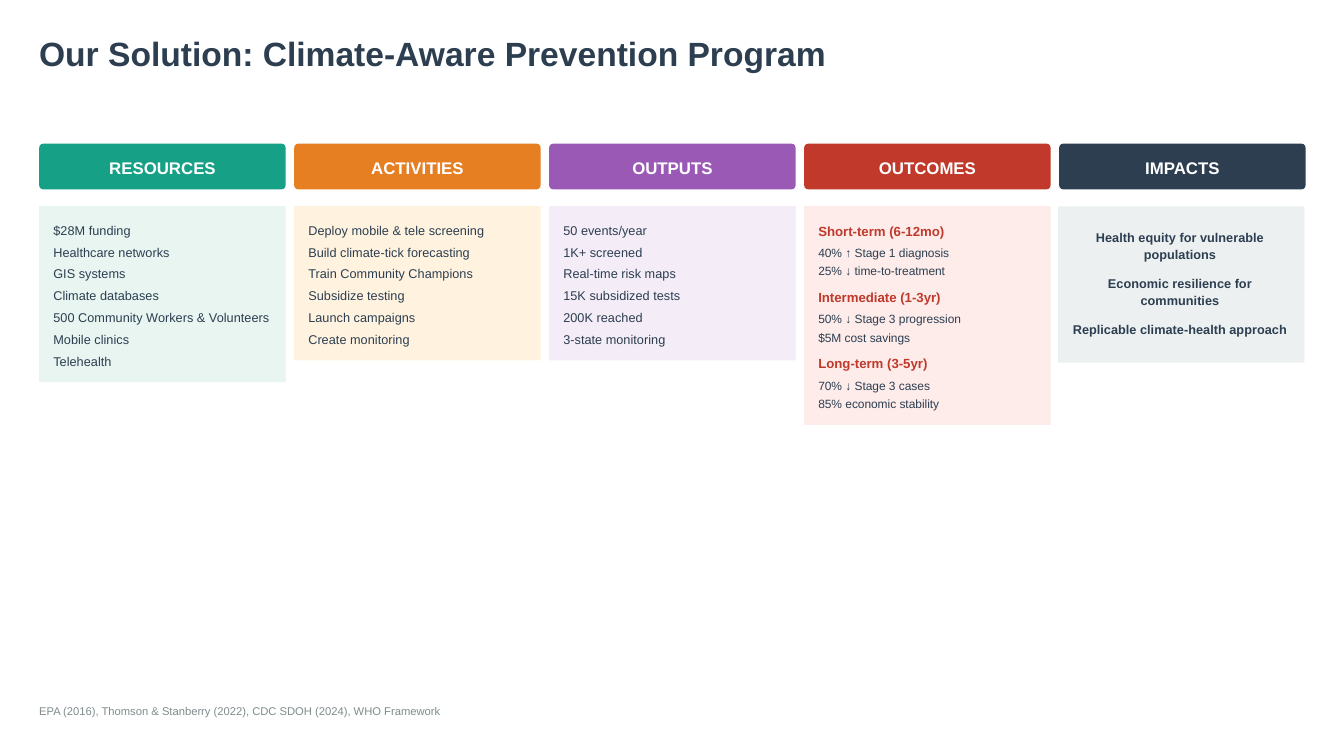
from pptx import Presentation
from pptx.dml.color import RGBColor
from pptx.enum.shapes import MSO_SHAPE
from pptx.enum.text import MSO_ANCHOR, PP_ALIGN
from pptx.util import Pt

RECTANGLE = MSO_SHAPE.RECTANGLE
ROUNDED = MSO_SHAPE.ROUNDED_RECTANGLE
LEFT, CENTER = PP_ALIGN.LEFT, PP_ALIGN.CENTER
MIDDLE = MSO_ANCHOR.MIDDLE

COLORS = {
    "ink": "2C3E50", "white": "FFFFFF", "gray": "7F8C8D",
    "teal": "16A085", "orange": "E67E22", "purple": "9B59B6", "red": "C0392B",
    "pale teal": "E8F5F1", "pale orange": "FFF3E0", "pale purple": "F4ECF7",
    "pale red": "FDECEA", "pale gray": "ECF0F1",
}

# Column grid, in points
MARGIN = 21
COLUMN_PITCH = 136.6
COLUMN_WIDTH = 132
TEXT_INSET = 7.6
TEXT_WIDTH = 119.5
HEADER_TOP, HEADER_HEIGHT = 77, 24.5
PANEL_TOP = 110.4
TEXT_TOP = 118
ITEM_PITCH = 11.68

HEADERS = [("RESOURCES", "teal"), ("ACTIVITIES", "orange"), ("OUTPUTS", "purple"),
           ("OUTCOMES", "red"), ("IMPACTS", "ink")]
LISTS = [
    ("pale teal", ["$28M funding", "Healthcare networks", "GIS systems",
                   "Climate databases", "500 Community Workers & Volunteers",
                   "Mobile clinics", "Telehealth"]),
    ("pale orange", ["Deploy mobile & tele screening", "Build climate-tick forecasting",
                     "Train Community Champions", "Subsidize testing",
                     "Launch campaigns", "Create monitoring"]),
    ("pale purple", ["50 events/year", "1K+ screened", "Real-time risk maps",
                     "15K subsidized tests", "200K reached", "3-state monitoring"]),
]
OUTCOMES = [
    ("Short-term (6-12mo)", ["40% ↑ Stage 1 diagnosis", "25% ↓ time-to-treatment"]),
    ("Intermediate (1-3yr)", ["50% ↓ Stage 3 progression", "$5M cost savings"]),
    ("Long-term (3-5yr)", ["70% ↓ Stage 3 cases", "85% economic stability"]),
]
IMPACTS = ["Health equity for vulnerable populations",
           "Economic resilience for communities",
           "Replicable climate-health approach"]


class SlideBuilder:
    """Holds the style and the current slide."""

    font = "Arial"

    def __init__(self, slide):
        self.slide = slide

    def set_text(self, shape, text, size, spacing, color="ink", bold=False, align=LEFT):
        text_frame = shape.text_frame
        text_frame.word_wrap = True
        text_frame.margin_left = text_frame.margin_right = 0
        text_frame.margin_top = text_frame.margin_bottom = 0
        text_frame.text = text
        paragraph = text_frame.paragraphs[0]
        paragraph.alignment = align
        paragraph.line_spacing = Pt(spacing)
        font = paragraph.runs[0].font
        font.name, font.size, font.bold = self.font, Pt(size), bold
        font.color.rgb = RGBColor.from_string(COLORS[color])

    def text(self, left, top, width, height, text, size, spacing, **style):
        box = self.slide.shapes.add_textbox(Pt(left), Pt(top), Pt(width), Pt(height))
        self.set_text(box, text, size, spacing, **style)

    def panel(self, left, top, height, color, kind=RECTANGLE):
        shape = self.slide.shapes.add_shape(
            kind, Pt(left), Pt(top), Pt(COLUMN_WIDTH), Pt(height))
        shape.shadow.inherit = False
        shape.fill.solid()
        shape.fill.fore_color.rgb = RGBColor.from_string(COLORS[color])
        shape.line.fill.background()
        return shape

    def header(self, left, text, color):
        shape = self.panel(left, HEADER_TOP, HEADER_HEIGHT, color, ROUNDED)
        shape.adjustments[0] = 0.09
        shape.text_frame.vertical_anchor = MIDDLE
        self.set_text(shape, text, 9, 12.6, color="white", bold=True, align=CENTER)


def main():
    presentation = Presentation()
    presentation.slide_width, presentation.slide_height = Pt(720), Pt(405)
    slide = presentation.slides.add_slide(presentation.slide_layouts[6])
    builder = SlideBuilder(slide)
    columns = [MARGIN + index * COLUMN_PITCH for index in range(len(HEADERS))]

    # Title
    builder.text(MARGIN, 21, 453.6, 18, "Our Solution: Climate-Aware Prevention Program",
                 18, 18, bold=True)

    # Column headers
    for left, (name, color) in zip(columns, HEADERS):
        builder.header(left, name, color)

    # Resources, activities and outputs
    for left, (color, items) in zip(columns, LISTS):
        builder.panel(left, PANEL_TOP, len(items) * ITEM_PITCH + 12.6, color)
        for row, item in enumerate(items):
            builder.text(left + TEXT_INSET, TEXT_TOP + row * ITEM_PITCH,
                         TEXT_WIDTH, 9.4, item, 6.8, 9.4)

    # Outcomes by term
    builder.panel(columns[3], PANEL_TOP, 117.2, "pale red")
    outcome_left = columns[3] + TEXT_INSET
    for index, (term, results) in enumerate(OUTCOMES):
        top = TEXT_TOP + index * 35.5
        builder.text(outcome_left, top, TEXT_WIDTH, 10, term, 7.1, 10,
                     color="red", bold=True)
        for row, result in enumerate(results):
            builder.text(outcome_left, top + 12.9 + row * 9.8, TEXT_WIDTH, 8.3,
                         result, 6.4, 8.3)

    # Impacts
    builder.panel(columns[4] - 0.6, 110.6, 83.7, "pale gray")
    for row, impact in enumerate(IMPACTS):
        builder.text(572.4, 121.7 + row * 24.8, TEXT_WIDTH, 18.8, impact, 6.8, 9.4,
                     bold=True, align=CENTER)

    # Sources
    builder.text(MARGIN, 376, 692, 8.4,
                 "EPA (2016), Thomson & Stanberry (2022), CDC SDOH (2024), WHO Framework",
                 6, 8.4, color="gray")

    presentation.save("out.pptx")


if __name__ == "__main__":
    main()
